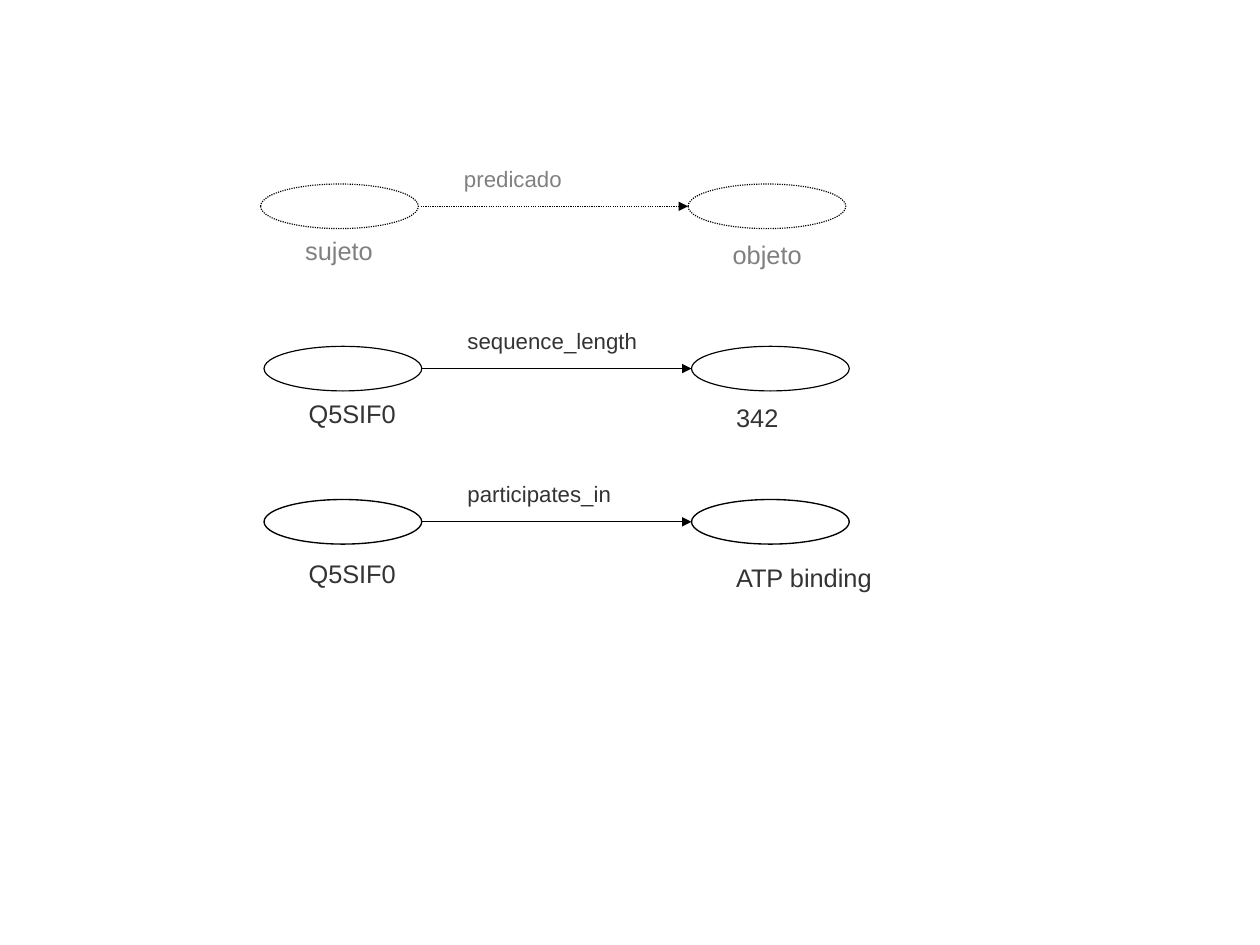
from dataclasses import dataclass

from lxml import etree
from pptx import Presentation
from pptx import util as u
from pptx.dml.color import RGBColor
from pptx.enum import dml, shapes, text
from pptx.oxml.ns import qn

COLORS = {"line": "000000", "label": "333333", "muted": "808080"}
FONT = "Arial"
NODE_WIDTH, NODE_HEIGHT = 1.38, 0.39
OBJECT_OFFSET = 3.74
CAPTION_INDENT = 0.39
PREDICATE_INDENT = 0.4
CAPTION_WIDTH = 0.85
LABEL_HEIGHT = 0.32


@dataclass
class Triple:
    subject: str
    predicate: str
    object: str
    left: float
    top: float
    caption_gap: float = 0.4
    object_width: float = CAPTION_WIDTH
    predicate_width: float = 1.93
    line_width: float = 0.75
    color: str = "label"
    dashed: bool = False


TRIPLES = [
    Triple("sujeto", "predicado", "objeto", 2.28, 1.61, color="muted", dashed=True),
    Triple("Q5SIF0", "sequence_length", "342", 2.31, 3.03),
    Triple("Q5SIF0", "participates_in", "ATP binding", 2.31, 4.37, caption_gap=0.46,
           object_width=1.57, predicate_width=1.57, line_width=0.85),
]


def rgb(name):
    return RGBColor.from_string(COLORS[name])


def format_line(line, triple):
    line.color.rgb = rgb("line")
    line.width = u.Pt(triple.line_width)
    if triple.dashed:
        line.dash_style = dml.MSO_LINE.ROUND_DOT


def add_node(slide, triple, left):
    node = slide.shapes.add_shape(
        shapes.MSO_SHAPE.OVAL, u.Inches(left), u.Inches(triple.top),
        u.Inches(NODE_WIDTH), u.Inches(NODE_HEIGHT))
    node.shadow.inherit = False
    node.fill.background()
    format_line(node.line, triple)


def add_arrow(slide, triple):
    middle = u.Inches(triple.top + NODE_HEIGHT / 2)
    arrow = slide.shapes.add_connector(
        shapes.MSO_CONNECTOR.STRAIGHT,
        u.Inches(triple.left + NODE_WIDTH), middle,
        u.Inches(triple.left + OBJECT_OFFSET), middle)
    format_line(arrow.line, triple)
    outline = arrow._element.spPr.find(qn("a:ln"))
    etree.SubElement(outline, qn("a:tailEnd"), type="triangle")
    etree.SubElement(arrow._element.spPr, qn("a:effectLst"))


def add_label(slide, words, left, top, width, height, size, color):
    label = slide.shapes.add_textbox(*map(u.Inches, (left, top, width, height)))
    frame = label.text_frame
    frame.margin_left = frame.margin_right = frame.margin_top = frame.margin_bottom = 0
    frame.vertical_anchor = text.MSO_ANCHOR.MIDDLE
    frame.word_wrap = True
    frame.text = words
    paragraph = frame.paragraphs[0]
    paragraph.line_spacing = 0.95
    font = paragraph.runs[0].font
    font.name = FONT
    font.size = u.Pt(size)
    font.color.rgb = rgb(color)


def add_triple(slide, triple):
    object_left = triple.left + OBJECT_OFFSET
    caption_top = triple.top + triple.caption_gap
    add_node(slide, triple, triple.left)
    add_node(slide, triple, object_left)
    add_arrow(slide, triple)
    add_label(slide, triple.subject, triple.left + CAPTION_INDENT, caption_top,
              CAPTION_WIDTH, NODE_HEIGHT, 16, triple.color)
    add_label(slide, triple.object, object_left + CAPTION_INDENT, caption_top + 0.07,
              triple.object_width, LABEL_HEIGHT, 16, triple.color)
    add_label(slide, triple.predicate, triple.left + NODE_WIDTH + PREDICATE_INDENT,
              triple.top - 0.2, triple.predicate_width, LABEL_HEIGHT, 14, triple.color)


def main():
    presentation = Presentation()
    presentation.slide_width = u.Cm(28)
    presentation.slide_height = u.Cm(21)
    slide = presentation.slides.add_slide(presentation.slide_layouts[6])
    for triple in TRIPLES:
        add_triple(slide, triple)
    presentation.save("out.pptx")


if __name__ == "__main__":
    main()
